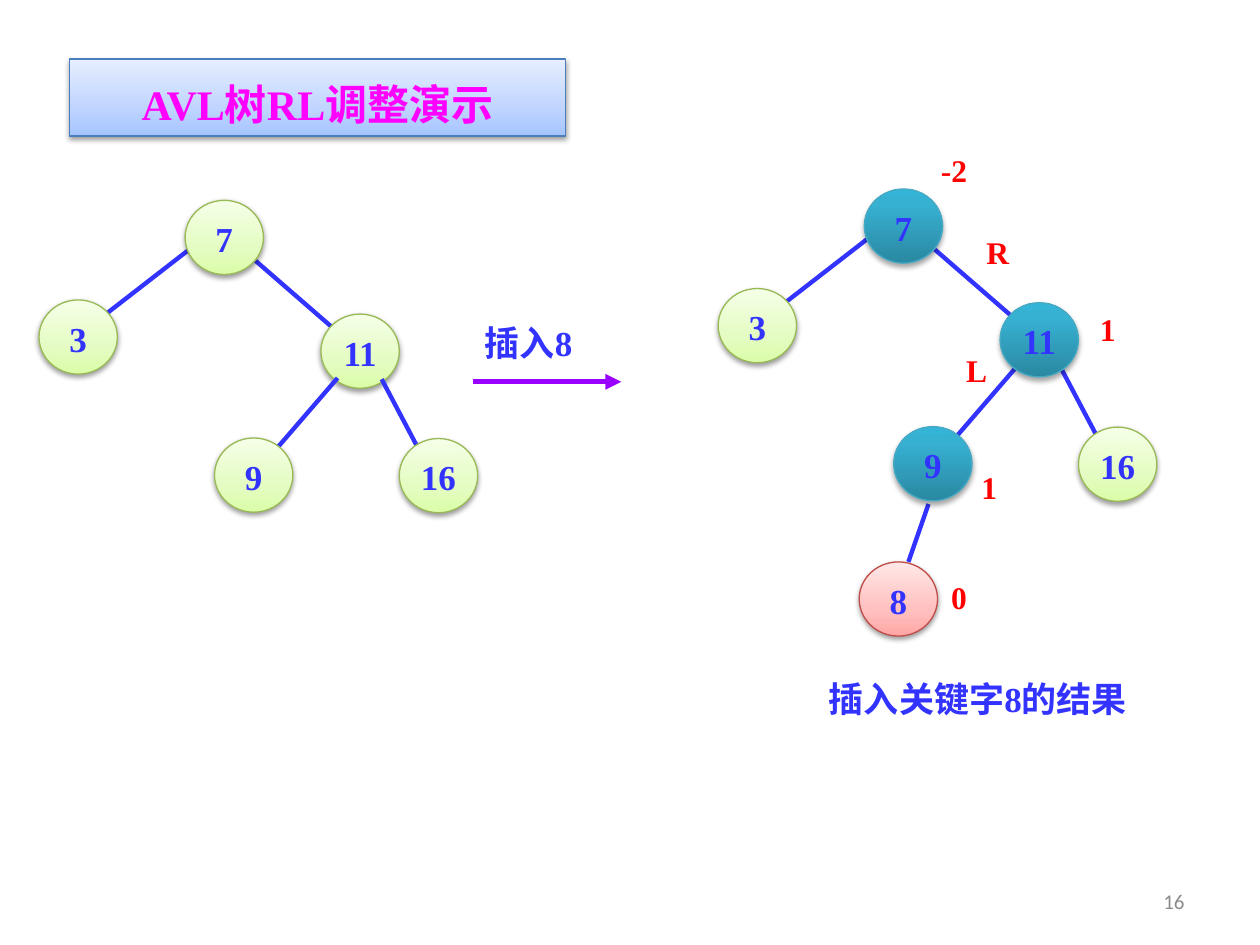
from pptx import Presentation
from pptx.dml.color import RGBColor
from pptx.enum.shapes import MSO_CONNECTOR, MSO_SHAPE
from pptx.enum.text import MSO_ANCHOR, MSO_AUTO_SIZE, PP_ALIGN
from pptx.oxml import parse_xml
from pptx.oxml.ns import nsdecls, qn
from pptx.util import Pt

LINE, OVAL = MSO_CONNECTOR.STRAIGHT, MSO_SHAPE.OVAL
TOP, MIDDLE = MSO_ANCHOR.TOP, MSO_ANCHOR.MIDDLE
GROW, FIXED = MSO_AUTO_SIZE.SHAPE_TO_FIT_TEXT, MSO_AUTO_SIZE.NONE
LEFT, CENTER = PP_ALIGN.LEFT, PP_ALIGN.CENTER
RIGHT, JUSTIFY = PP_ALIGN.RIGHT, PP_ALIGN.JUSTIFY

SERIF, SANS = "Times New Roman", "Calibri"
BLUE = RGBColor(0x33, 0x33, 0xFF)
RED = RGBColor(0xFF, 0x00, 0x00)
PINK = RGBColor(0xFF, 0x00, 0xFF)
PURPLE = RGBColor(0x99, 0x00, 0xFF)
GRAY = RGBColor(0x8C, 0x8C, 0x8C)

# Styles: outline, gradient stops from bottom to top, shadow (alpha %, distance)
SOFT, DEEP = (38, 1.6), (35, 1.8)
GREEN = (RGBColor(0x98, 0xB9, 0x55),
         [(0, "DAFDA7"), (35, "E4FCC2"), (100, "F5FFE7")], SOFT)
ROSE = (RGBColor(0xBF, 0x4C, 0x48),
        [(0, "FFA6A5"), (35, "FFC0BF"), (100, "FFE7E7")], SOFT)
SKY = (RGBColor(0x4B, 0x7E, 0xBC),
       [(0, "A4C4FF"), (35, "BFD4FF"), (100, "E6EEFF")], SOFT)
TEAL = (RGBColor(0x46, 0xAA, 0xC5),
        [(0, "2A88A2"), (80, "37B1D2"), (100, "34B4D6")], DEEP)

# Tree parts, measured from the top left corner of the root node
UPPER = ([(40.3, 34.6, 84.2, 72.7), (1.4, 28.8, -49.7, 68.4)],
         [("7", 0, 0), ("3", -83.5, 56.9), ("11", 77.6, 65)])
LOWER = ([(87.1, 101.5, 46.1, 149), (112.3, 102.2, 133.2, 141.8)],
         [("9", 16.8, 135.8), ("16", 122.4, 136.1)])
ADDED = ([(36.7, 180, 25.2, 213.1)], [("8", -2.9, 213.1)])


def points(*nums):
    return [Pt(n) for n in nums]


def paint(shape, style):
    """Give a shape its gradient, outline and soft shadow."""
    edge, stops, (alpha, dist) = style
    shape.fill.gradient()
    shape.fill.gradient_angle = 90
    props = shape._element.spPr
    ramp = props.find(".//" + qn("a:gsLst"))
    for stop in list(ramp):
        ramp.remove(stop)
    for pos, color in stops:
        ramp.append(parse_xml(
            f'<a:gs {nsdecls("a")} pos="{pos * 1000}">'
            f'<a:srgbClr val="{color}"/></a:gs>'))
    shape.line.color.rgb = edge
    shape.line.width = Pt(0.75)
    shape.shadow.inherit = False
    props.find(qn("a:effectLst")).append(parse_xml(
        f'<a:outerShdw {nsdecls("a")} blurRad="{Pt(3.1)}" dist="{Pt(dist)}"'
        f' dir="5400000" rotWithShape="0"><a:srgbClr val="000000">'
        f'<a:alpha val="{alpha * 1000}"/></a:srgbClr></a:outerShdw>'))


def write(shape, text, size, color, align=LEFT, space=None,
          face=SERIF, bold=True):
    """Fill a shape with one line of formatted text."""
    frame = shape.text_frame
    frame.text = text
    frame.word_wrap = True
    para = frame.paragraphs[0]
    para.alignment = align
    if space:
        para.line_spacing = space
    font = para.font
    font.name, font.size, font.bold = face, Pt(size), bold
    font.color.rgb = color
    return frame


def label(slide, box, text, size, color, *args):
    shape = slide.shapes.add_textbox(*points(*box))
    frame = write(shape, text, size, color, *args)
    frame.auto_size = GROW
    return frame


def line(slide, ends, color, width):
    link = slide.shapes.add_connector(LINE, *points(*ends))
    link.line.color.rgb = color
    link.line.width = Pt(width)
    link._element.spPr.append(parse_xml(f'<a:effectLst {nsdecls("a")}/>'))
    return link


def arrow(slide, ends):
    link = line(slide, ends, PURPLE, 3)
    link.line._get_or_add_ln().append(
        parse_xml(f'<a:tailEnd {nsdecls("a")} type="triangle"/>'))


def node(slide, text, x, y, style):
    shape = slide.shapes.add_shape(OVAL, *points(x, y, 44.8, 42.4))
    paint(shape, style)
    frame = write(shape, text, 20, BLUE, CENTER, 0.8)
    frame.vertical_anchor = MIDDLE
    frame.margin_left = frame.margin_right = frame.margin_bottom = 0
    frame.margin_top = Pt(5.76)


def tree(slide, x, y, levels, styles):
    """Draw edges and nodes by level; teal nodes come last, on top."""
    late = []
    for edges, nodes in levels:
        for x1, y1, x2, y2 in edges:
            line(slide, (x + x1, y + y1, x + x2, y + y2), BLUE, 2.5)
        for text, dx, dy in nodes:
            item = (text, x + dx, y + dy, styles.get(text, GREEN))
            if item[3] is TEAL:
                late.append(item)
            else:
                node(slide, *item)
    for item in late:
        node(slide, *item)


def heading(slide, text):
    title = slide.shapes.title
    title.left, title.top, title.width, title.height = points(
        39.6, 33.8, 283.7, 43.9)
    paint(title, SKY)
    frame = write(title, text, 24, PINK, CENTER, 1.25)
    frame.vertical_anchor = TOP
    frame.auto_size = FIXED


def main():
    deck = Presentation()
    deck.slide_width, deck.slide_height = points(720, 540)
    slide = deck.slides.add_slide(deck.slide_layouts[5])
    heading(slide, "AVL树RL调整演示")

    # Trees before and after the insertion
    tree(slide, 105.8, 114.5, [UPPER, LOWER], {})
    tree(slide, 493.9, 108, [UPPER, LOWER, ADDED],
         {"7": TEAL, "11": TEAL, "9": TEAL, "8": ROSE})

    # Insertion step
    arrow(slide, (270, 218.2, 355, 218.2))
    label(slide, (270, 172.8, 67.7, 38.2), "插入8", 20, BLUE, JUSTIFY, 1.3)
    label(slide, (466.6, 376.6, 198.7, 38.2), "插入关键字8的结果",
          20, BLUE, JUSTIFY, 1.3)

    # Balance factors and rotation letters
    for text, x, y, width in [
            ("-2", 530.6, 82.8, 33.8), ("1", 621.4, 173.5, 22.3),
            ("1", 553.7, 264.2, 22.3), ("0", 536.4, 326.9, 22.3),
            ("R", 556.6, 129.6, 28.1), ("L", 545, 197.3, 28.1)]:
        label(slide, (x, y, width, 28.8), text, 18, RED)

    # Page number
    page = label(slide, (516.2, 500.4, 167.8, 28.8), "16", 12, GRAY,
                 RIGHT, None, SANS, False)
    page.auto_size = FIXED
    page.vertical_anchor = MIDDLE

    deck.save("out.pptx")


if __name__ == "__main__":
    main()
